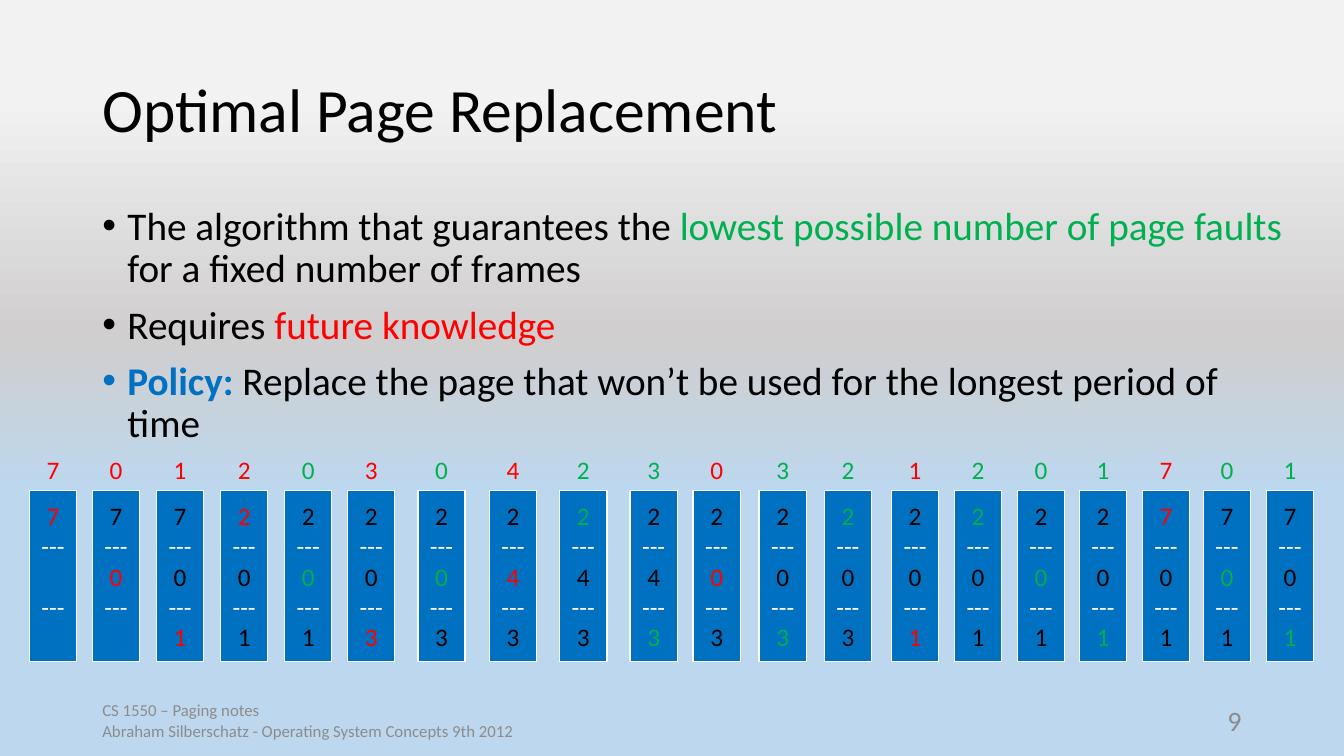
from lxml.etree import SubElement
from pptx import Presentation
from pptx.dml.color import RGBColor
from pptx.enum.shapes import MSO_SHAPE
from pptx.enum.text import MSO_ANCHOR, MSO_AUTO_SIZE, PP_ALIGN
from pptx.oxml.ns import qn
from pptx.util import Pt

PX = 9525  # EMU in one px, at 96 px to the inch
COLORS = {
    "text": "000000", "muted": "8C8C8C", "separator": "FFFFFF",
    "frame": "0070C0", "policy": "0070C0", "hit": "00B050", "fault": "FF0000",
}
BACKGROUND = [(13, "F2F2F2"), (44, "D0CECE"), (65, "BDD7EE"), (80, "BDD7EE")]

POINTS = [
    [("The algorithm that guarantees the ", "text"),
     ("lowest possible number of page faults ", "hit"),
     ("for a fixed number of frames", "text")],
    [("Requires ", "text"), ("future knowledge", "fault")],
    [("Policy:", "policy"),
     (" Replace the page that won’t be used for the longest period of time", "text")],
]

# Left edge, page referenced, pages held in the three frames afterwards
STEPS = [
    (28, "7", "7  "), (88, "0", "70 "), (149, "1", "701"), (210, "2", "201"),
    (271, "0", "201"), (331, "3", "203"), (398, "0", "203"), (466, "4", "243"),
    (533, "2", "243"), (600, "3", "243"), (660, "0", "203"), (723, "3", "203"),
    (785, "2", "203"), (849, "1", "201"), (909, "2", "201"), (969, "0", "201"),
    (1028, "1", "201"), (1088, "7", "701"), (1146, "0", "701"), (1206, "1", "701"),
]


def px(*lengths):
    return [length * PX for length in lengths]


def style(font, size, color):
    font.name = "Calibri"
    font.size = Pt(size)
    font.color.rgb = RGBColor.from_string(COLORS[color])


def write_lines(frame, lines, size, align=PP_ALIGN.LEFT):
    """Write one paragraph for each (text, color) pair."""
    for number, (text, color) in enumerate(lines):
        paragraph = frame.paragraphs[0] if number == 0 else frame.add_paragraph()
        paragraph.alignment = align
        style(paragraph.font, size, color)
        if text:
            paragraph.add_run().text = text


def paint_background(slide):
    fill = slide.background.fill
    fill.gradient()
    fill.gradient_angle = 270
    stops = slide.element.find(".//" + qn("a:gsLst"))
    stops.clear()
    for percent, color in BACKGROUND:
        stop = SubElement(stops, qn("a:gs"), pos=str(percent * 1000))
        SubElement(stop, qn("a:srgbClr"), val=color)


def add_title(slide, text, box):
    title = slide.shapes.title
    title.left, title.top, title.width, title.height = px(*box)
    frame = title.text_frame
    frame.auto_size = MSO_AUTO_SIZE.NONE
    frame.vertical_anchor = MSO_ANCHOR.MIDDLE
    write_lines(frame, [(text, "text")], 44)
    frame.paragraphs[0].line_spacing = 0.9


def add_points(slide, points, box):
    frame = slide.shapes.add_textbox(*px(*box)).text_frame
    frame.word_wrap = True
    for number, parts in enumerate(points):
        point = frame.paragraphs[0] if number == 0 else frame.add_paragraph()
        point.line_spacing = 0.9
        point.space_before = Pt(10)
        for text, color in parts:
            run = point.add_run()
            run.text = text
            style(run.font, 28, color)
            run.font.bold = color == "policy"
        # Hanging bullet
        layout = point._p.get_or_add_pPr()
        layout.set("marL", str(24 * PX))
        layout.set("indent", str(-24 * PX))
        SubElement(layout, qn("a:buFont"), typeface="Arial")
        SubElement(layout, qn("a:buChar"), char="•")


def add_step(slide, page, held, outcome, box):
    """Draw a page reference above the frames that it leaves behind."""
    left, top, width, height = box
    label_height = 38
    group = slide.shapes.add_group_shape()

    # Frames
    frames = group.shapes.add_shape(
        MSO_SHAPE.RECTANGLE,
        *px(left, top + label_height + 1, width, height - label_height - 1))
    frames.shadow.inherit = False
    frames.fill.solid()
    frames.fill.fore_color.rgb = RGBColor.from_string(COLORS["frame"])
    frames.line.color.rgb = RGBColor.from_string(COLORS["separator"])
    frames.line.width = Pt(1)
    frames.text_frame.vertical_anchor = MSO_ANCHOR.MIDDLE
    lines = []
    for content in held:
        if lines:
            lines.append(("---", "separator"))
        lines.append((content.strip(), outcome if content == page else "text"))
    write_lines(frames.text_frame, lines, 18, PP_ALIGN.CENTER)

    # Page reference
    label = group.shapes.add_textbox(*px(left + 7, top, 32, label_height)).text_frame
    label.word_wrap = False
    label.auto_size = MSO_AUTO_SIZE.SHAPE_TO_FIT_TEXT
    write_lines(label, [(page, outcome)], 18)


def add_trace(slide, steps, top, height):
    before = ""
    for left, page, held in steps:
        outcome = "hit" if page in before else "fault"
        add_step(slide, page, held, outcome, (left, top, 45, height))
        before = held


def add_footer(slide, lines, size, align, box):
    frame = slide.shapes.add_textbox(*px(*box)).text_frame
    frame.word_wrap = True
    frame.vertical_anchor = MSO_ANCHOR.MIDDLE
    write_lines(frame, [(line, "muted") for line in lines], size, align)


def main():
    deck = Presentation()
    deck.slide_width, deck.slide_height = px(1280, 720)
    slide = deck.slides.add_slide(deck.slide_layouts.get_by_name("Title Only"))

    paint_background(slide)
    add_title(slide, "Optimal Page Replacement", (88, 38, 1104, 139))
    add_footer(slide, ["CS 1550 – Paging notes",
                       "Abraham Silberschatz - Operating System Concepts 9th 2012"],
               12, PP_ALIGN.LEFT, (88, 667, 768, 38))
    add_footer(slide, ["9"], 20, PP_ALIGN.RIGHT, (904, 667, 288, 38))
    add_points(slide, POINTS, (88, 192, 1157, 457))
    add_trace(slide, STEPS, 428, 202)

    deck.save("out.pptx")


if __name__ == "__main__":
    main()
